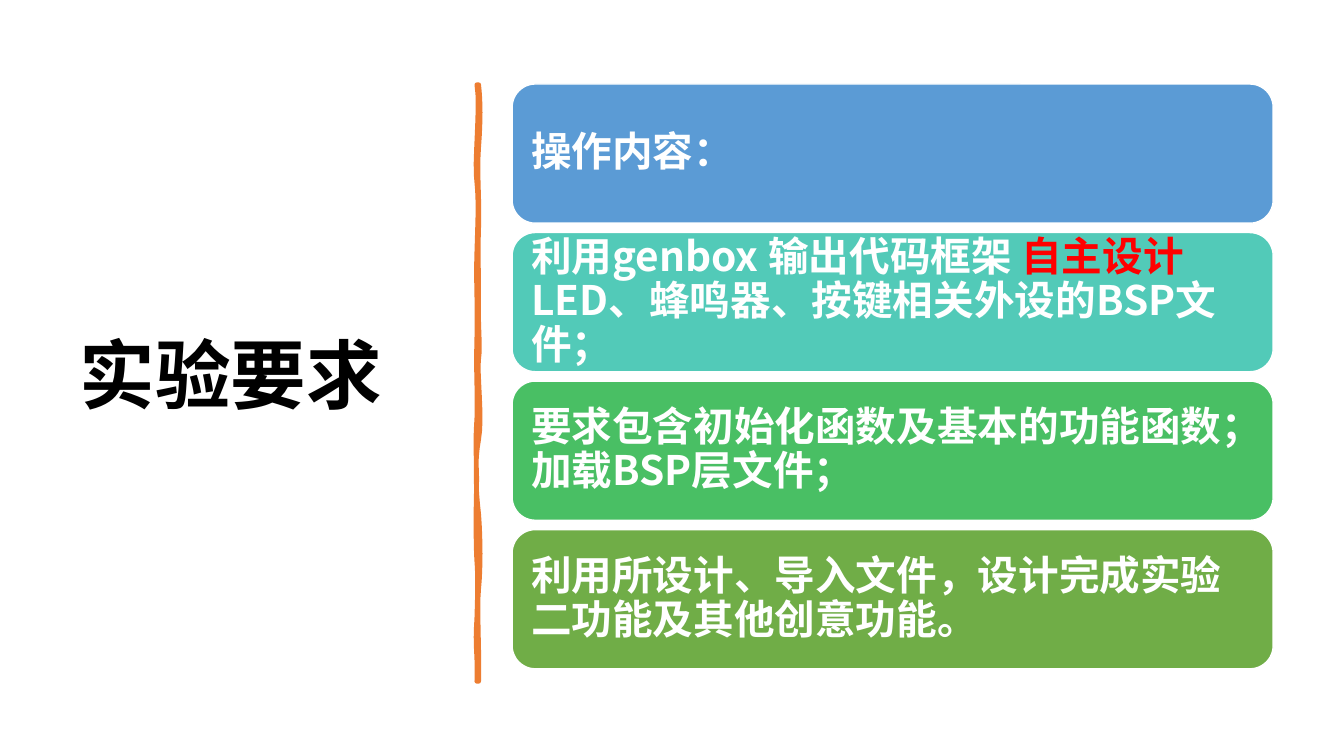
from lxml import etree
from pptx import Presentation
from pptx.dml.color import RGBColor
from pptx.enum.shapes import MSO_SHAPE
from pptx.enum.text import MSO_ANCHOR, MSO_AUTO_SIZE, PP_ALIGN
from pptx.oxml.ns import qn
from pptx.util import Pt

ROUNDED = MSO_SHAPE.ROUNDED_RECTANGLE
MIDDLE = MSO_ANCHOR.MIDDLE
LEFT = PP_ALIGN.LEFT
NO_AUTOFIT = MSO_AUTO_SIZE.NONE
TITLE_ONLY = 5

WHITE, BLACK, RED, ORANGE = "FFFFFF", "000000", "FF0000", "ED7D31"

CARD_LEFT, CARD_TOP, CARD_WIDTH, CARD_HEIGHT = 365.8, 60, 543.6, 99.4
CARD_PITCH = 106.1
CARDS = [
    ("5B9BD5", [("操作内容：", WHITE)]),
    ("52CAB8", [("利用genbox 输出代码框架 ", WHITE), ("自主设计", RED),
                ("LED、蜂鸣器、按键相关外设的BSP文件；", WHITE)]),
    ("49BF64", [("要求包含初始化函数及基本的功能函数；加载BSP层文件；", WHITE)]),
    ("70AD47", [("利用所设计、导入文件，设计完成实验二功能及其他创意功能。", WHITE)]),
]

# Each curve: first control x, y, second control x, y, end y.
DIVIDER_TOP, DIVIDER_BOTTOM = 60.5, 486.7
RIGHT_X, LEFT_X = 342, 340.6
RIGHT_EDGE = [
    (343.4, 73.4, 343.4, 85.7, 105.1), (340.6, 124.6, 342.7, 140.4, 162.7),
    (341.3, 185, 342, 188.6, 211.7), (341.3, 234, 343.4, 246.2, 256.3),
    (340.6, 266.4, 344.9, 298.1, 313.9), (339.1, 329, 339.8, 348.5, 367.2),
    (343.4, 385.9, 343.4, 406.1, 420.5), (340.6, 434.2, 342.7, 468, 486.7),
]
LEFT_EDGE = [
    (341.3, 465.1, 339.1, 463.7, 441.4), (341.3, 419.8, 341.3, 410.4, 401),
    (339.8, 391.7, 339.8, 356.4, 343.4), (340.6, 330.5, 339.1, 320.4, 298.8),
    (341.3, 277.9, 339.8, 268.6, 241.2), (341.3, 214.6, 339.8, 202.3, 180),
    (341.3, 157, 342, 144, 130.3), (338.4, 117.4, 343.4, 74.9, 60.5),
]


def color(hex_text):
    """Turn a hex string into a colour."""
    return RGBColor.from_string(hex_text)


def sample_edge(x, start_y, curves, steps=8):
    """Return points along a chain of cubic curves whose ends share one x."""
    points = [(x, start_y)]
    for x1, y1, x2, y2, end_y in curves:
        for step in range(1, steps + 1):
            t = step / steps
            u = 1 - t
            weights = (u ** 3, 3 * u * u * t, 3 * u * t * t, t ** 3)
            points.append((
                sum(w * v for w, v in zip(weights, (x, x1, x2, x))),
                sum(w * v for w, v in zip(weights, (start_y, y1, y2, end_y)))))
        start_y = end_y
    return points


class SlideBuilder:
    """Holds the style and the current slide."""

    font = "Noto Sans CJK SC"

    def __init__(self, slide):
        """Keep the slide to draw on."""
        self.slide = slide

    def add_run(self, paragraph, text, *, size, hex_text, bold=True):
        """Append formatted text to a paragraph."""
        run = paragraph.add_run()
        run.text = text
        run.font.name = self.font
        run.font.size = Pt(size)
        run.font.bold = bold
        run.font.color.rgb = color(hex_text)
        east_asian = etree.SubElement(run.font._element, qn("a:ea"))
        east_asian.set("typeface", self.font)

    def fill_text(self, frame, runs, *, size, space_after=0):
        """Fill a text frame with one left-aligned, middle-anchored paragraph."""
        frame.word_wrap = True
        frame.auto_size = NO_AUTOFIT
        frame.vertical_anchor = MIDDLE
        paragraph = frame.paragraphs[0]
        paragraph.alignment = LEFT
        paragraph.line_spacing = 0.9
        paragraph.space_after = Pt(space_after)
        for text, hex_text in runs:
            self.add_run(paragraph, text, size=size, hex_text=hex_text)

    def title(self, text, left, top, width, height):
        """Place and fill the title placeholder."""
        title = self.slide.shapes.title
        title.left, title.top = Pt(left), Pt(top)
        title.width, title.height = Pt(width), Pt(height)
        self.fill_text(title.text_frame, [(text, BLACK)], size=54, space_after=6)

    def paint(self, shape, fill, line, line_width):
        """Set fill and outline, without shadow."""
        shape.shadow.inherit = False
        shape.fill.solid()
        shape.fill.fore_color.rgb = color(fill)
        shape.line.color.rgb = color(line)
        shape.line.width = Pt(line_width)

    def outline(self, points, hex_text, line_width):
        """Draw a closed freeform through points."""
        freeform = self.slide.shapes.build_freeform(
            Pt(points[0][0]), Pt(points[0][1]))
        freeform.add_line_segments([(Pt(x), Pt(y)) for x, y in points[1:]])
        self.paint(freeform.convert_to_shape(), hex_text, hex_text, line_width)

    def card(self, runs, fill, top):
        """Draw a rounded card with text."""
        card = self.slide.shapes.add_shape(
            ROUNDED, Pt(CARD_LEFT), Pt(top), Pt(CARD_WIDTH), Pt(CARD_HEIGHT))
        self.paint(card, fill, WHITE, 1)
        frame = card.text_frame
        frame.margin_left = frame.margin_right = Pt(8.7)
        frame.margin_top = frame.margin_bottom = Pt(8.7)
        self.fill_text(frame, runs, size=29)


presentation = Presentation()
presentation.slide_width, presentation.slide_height = Pt(960), Pt(540)
builder = SlideBuilder(
    presentation.slides.add_slide(presentation.slide_layouts[TITLE_ONLY]))

builder.title("实验要求", 49.7, 50.4, 269.3, 439.9)
divider = (sample_edge(RIGHT_X, DIVIDER_TOP, RIGHT_EDGE)
           + sample_edge(LEFT_X, DIVIDER_BOTTOM, LEFT_EDGE))
builder.outline(divider, ORANGE, 3.25)
for index, (fill, runs) in enumerate(CARDS):
    builder.card(runs, fill, CARD_TOP + index * CARD_PITCH)

presentation.save("out.pptx")
